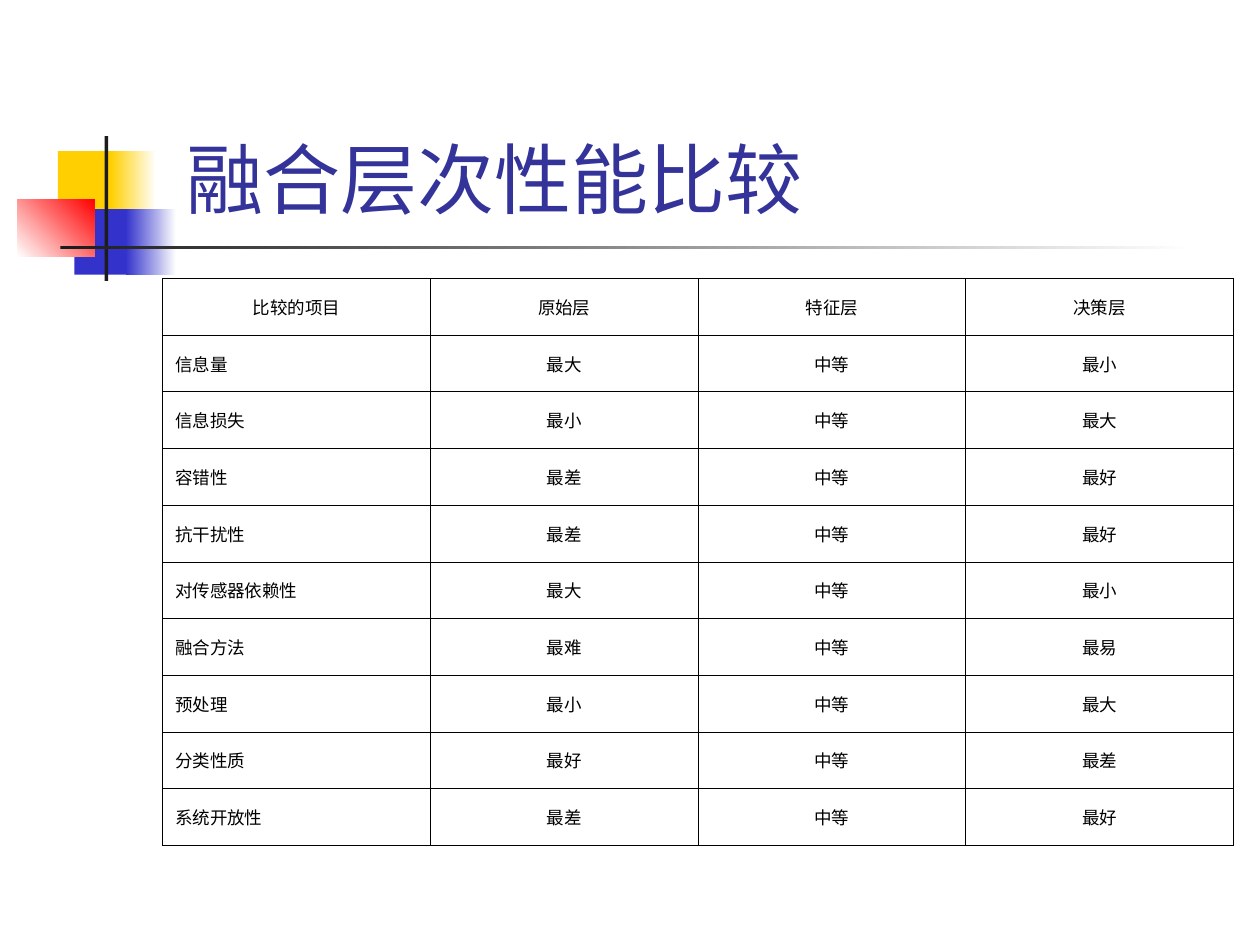
import pptx
import pptx.util
import pptx.dml.color
import pptx.enum.shapes
import pptx.enum.text
import pptx.oxml
import pptx.oxml.ns
from dataclasses import dataclass

Inches = pptx.util.Inches
Pt = pptx.util.Pt
RGB = pptx.dml.color.RGBColor.from_string
PP_ALIGN = pptx.enum.text.PP_ALIGN
ANCHOR = pptx.enum.text.MSO_ANCHOR


@dataclass(frozen=True)
class Theme:
    yellow: str = "FFCF01"
    blue: str = "3333CC"
    red: str = "FF0000"
    dark: str = "1C1C1C"
    white: str = "FFFFFF"
    black: str = "000000"
    title: str = "333399"
    title_font: str = "Lato"
    table_font: str = "Times New Roman"
    title_size: int = 44
    table_size: int = 10
    border: float = 0.45


class SlideBuilder:
    def __init__(self, slide, theme):
        self.s = slide
        self.theme = theme

    def style(self, p, font, size, color):
        p.font.name = font
        p.font.size = Pt(size)
        p.font.color.rgb = RGB(color)

    def block(self, x, y, w, h, color, fade_to=None, angle=0):
        sp = self.s.shapes.add_shape(
            pptx.enum.shapes.MSO_SHAPE.RECTANGLE,
            Inches(x), Inches(y), Inches(w), Inches(h))
        sp.shadow.inherit = False
        sp.line.fill.background()
        if fade_to is None:
            sp.fill.solid()
            sp.fill.fore_color.rgb = RGB(color)
            return
        sp.fill.gradient()
        sp.fill.gradient_angle = angle
        for stop, value, pos in zip(sp.fill.gradient_stops, (color, fade_to), (0, 1)):
            stop.color.rgb = RGB(value)
            stop.position = pos

    def title(self, x, y, w, h, text):
        t = self.theme
        tf = self.s.shapes.add_textbox(
            Inches(x), Inches(y), Inches(w), Inches(h)).text_frame
        tf.word_wrap = True
        tf.vertical_anchor = ANCHOR.BOTTOM
        tf.margin_left = Inches(0.22)
        p = tf.paragraphs[0]
        p.text = text
        self.style(p, t.title_font, t.title_size, t.title)

    def borders(self, cell):
        tc_pr = cell._tc.get_or_add_tcPr()
        for side in ("lnL", "lnR", "lnT", "lnB"):
            tc_pr.append(pptx.oxml.parse_xml(
                f'<a:{side} {pptx.oxml.ns.nsdecls("a")} w="{Pt(self.theme.border)}">'
                f'<a:solidFill><a:srgbClr val="{self.theme.black}"/></a:solidFill>'
                f'</a:{side}>'))

    def table(self, x, y, w, h, rows):
        t = self.theme
        table = self.s.shapes.add_table(
            len(rows), len(rows[0]),
            Inches(x), Inches(y), Inches(w), Inches(h)).table
        table.first_row = table.horz_banding = False
        for i, row in enumerate(rows):
            for j, text in enumerate(row):
                cell = table.cell(i, j)
                self.borders(cell)
                cell.fill.background()
                cell.vertical_anchor = ANCHOR.MIDDLE
                p = cell.text_frame.paragraphs[0]
                p.text = text
                # Row labels are left-aligned, everything else is centred
                p.alignment = PP_ALIGN.LEFT if i and j == 0 else PP_ALIGN.CENTER
                self.style(p, t.table_font, t.table_size, t.black)


ROWS = [
    ("比较的项目", "原始层", "特征层", "决策层"),
    ("信息量", "最大", "中等", "最小"),
    ("信息损失", "最小", "中等", "最大"),
    ("容错性", "最差", "中等", "最好"),
    ("抗干扰性", "最差", "中等", "最好"),
    ("对传感器依赖性", "最大", "中等", "最小"),
    ("融合方法", "最难", "中等", "最易"),
    ("预处理", "最小", "中等", "最大"),
    ("分类性质", "最好", "中等", "最差"),
    ("系统开放性", "最差", "中等", "最好"),
]


def main():
    prs = pptx.Presentation()
    prs.slide_width, prs.slide_height = Inches(10), Inches(7.5)
    theme = Theme()
    b = SlideBuilder(prs.slides.add_slide(prs.slide_layouts[6]), theme)

    # Coloured squares
    b.block(0.46, 1.2, 0.48, 0.52, theme.yellow)
    b.block(0.88, 1.2, 0.36, 0.52, theme.yellow, theme.white)
    b.block(0.59, 1.66, 0.46, 0.52, theme.blue)
    b.block(1, 1.66, 0.4, 0.52, theme.blue, theme.white)
    b.block(0.14, 1.58, 0.61, 0.46, theme.white, theme.red, angle=45)

    # Crossed bars
    b.block(0.83, 1.08, 0.03, 1.15, theme.dark)
    b.block(0.48, 1.95, 9, 0.03, theme.dark, theme.white)

    # Title and comparison table
    b.title(1.26, 0.23, 8.52, 1.6, "融合层次性能比较")
    b.table(1.29, 2.21, 8.5, 4.5, ROWS)

    prs.save("out.pptx")


if __name__ == "__main__":
    main()
